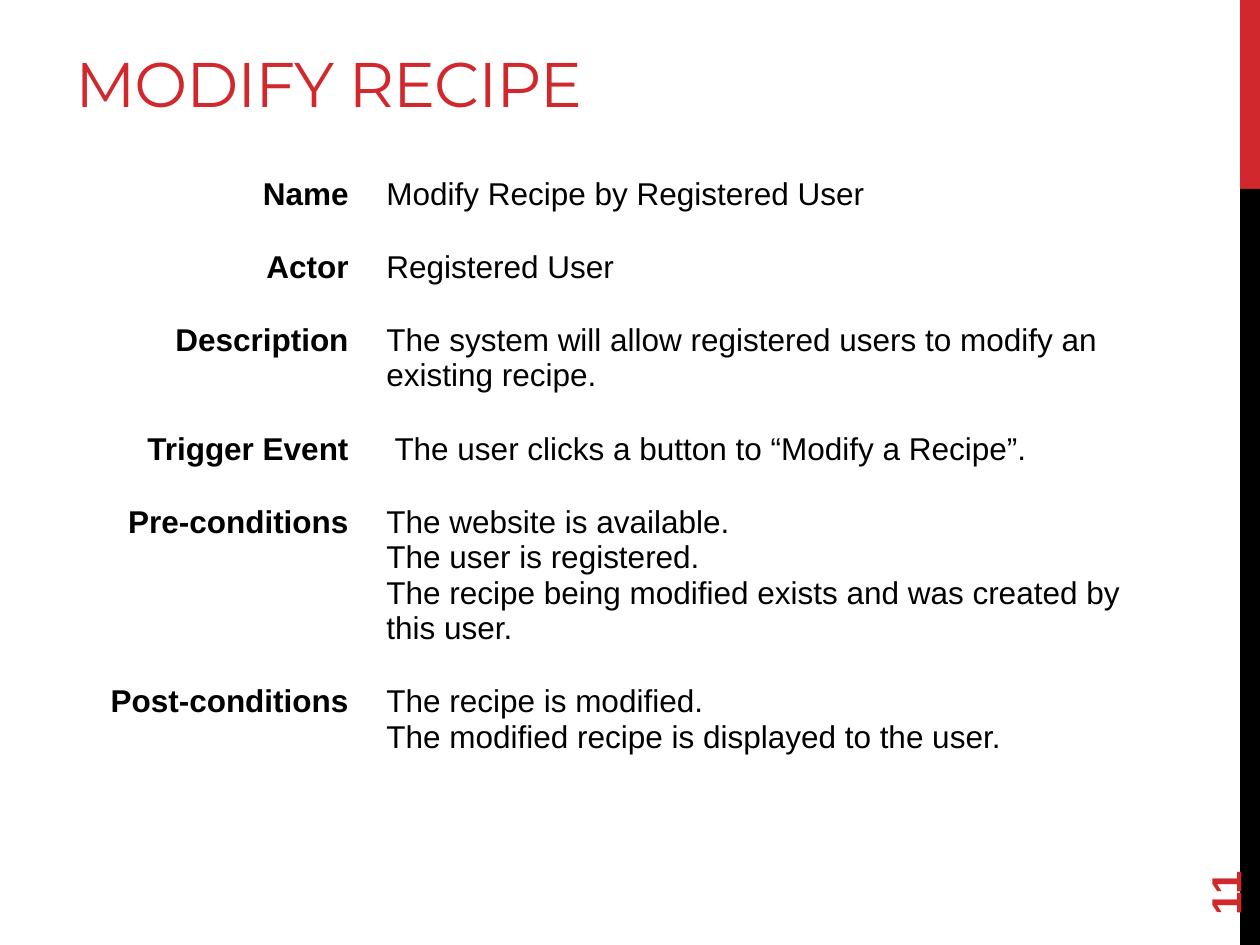
from dataclasses import dataclass

import pptx
import pptx.dml.color
import pptx.enum.shapes
import pptx.enum.text
import pptx.util

Pt = pptx.util.Pt
ALIGN = pptx.enum.text.PP_ALIGN
ANCHOR = pptx.enum.text.MSO_ANCHOR


@dataclass(frozen=True)
class Theme:
    accent: str = "D1282E"
    ink: str = "000000"
    title_font: str = "Montserrat"
    body_font: str = "Arial"
    title_size: float = 36
    number_size: float = 24
    body_size: float = 18
    body_line: float = 20.2
    cell_margin: float = 10.8


USE_CASE = [
    ("Name", "Modify Recipe by Registered User"),
    ("Actor", "Registered User"),
    ("Description", "The system will allow registered users to modify an existing recipe."),
    ("Trigger Event", " The user clicks a button to “Modify a Recipe”."),
    ("Pre-conditions", "The website is available.\nThe user is registered.\n"
     "The recipe being modified exists and was created by this user."),
    ("Post-conditions", "The recipe is modified.\n"
     "The modified recipe is displayed to the user."),
]


class SlideBuilder:
    def __init__(self, slide, theme):
        self.slide = slide
        self.theme = theme

    def color(self, value):
        return pptx.dml.color.RGBColor.from_string(value)

    def format_text(self, text_frame, font, size, color, bold=False,
                    align=ALIGN.LEFT, tracking=None, line=None):
        for paragraph in text_frame.paragraphs:
            paragraph.alignment = align
            if line is not None:
                paragraph.line_spacing = Pt(line)
            for run in paragraph.runs:
                run.font.name = font
                run.font.size = Pt(size)
                run.font.bold = bold
                run.font.color.rgb = self.color(color)
                if tracking is not None:
                    run.font._element.set("spc", str(round(tracking * 100)))

    def bar(self, left, top, width, height, color):
        shape = self.slide.shapes.add_shape(
            pptx.enum.shapes.MSO_SHAPE.RECTANGLE,
            Pt(left), Pt(top), Pt(width), Pt(height))
        shape.shadow.inherit = False
        shape.fill.solid()
        shape.fill.fore_color.rgb = self.color(color)
        shape.line.fill.background()

    def text(self, text, left, top, width, height, anchor, rotation=0, **style):
        box = self.slide.shapes.add_textbox(Pt(left), Pt(top), Pt(width), Pt(height))
        box.rotation = rotation
        text_frame = box.text_frame
        text_frame.word_wrap = True
        text_frame.vertical_anchor = anchor
        text_frame.text = text
        self.format_text(text_frame, **style)

    def label_table(self, rows, left, top, column_widths, row_height):
        """Add a plain table with bold right-aligned labels in the first column."""
        table = self.slide.shapes.add_table(
            len(rows), len(column_widths), Pt(left), Pt(top),
            Pt(sum(column_widths)), Pt(row_height * len(rows))).table
        table.first_row = table.horz_banding = False
        for column, width in zip(table.columns, column_widths):
            column.width = Pt(width)
        for row, texts in zip(table.rows, rows):
            row.height = Pt(row_height)
            for index, (cell, text) in enumerate(zip(row.cells, texts)):
                is_label = index == 0
                cell.fill.background()
                cell.margin_left = cell.margin_right = Pt(self.theme.cell_margin)
                cell.margin_top = cell.margin_bottom = Pt(self.theme.cell_margin)
                cell.text_frame.text = text
                self.format_text(
                    cell.text_frame, self.theme.body_font, self.theme.body_size,
                    self.theme.ink, bold=is_label, line=self.theme.body_line,
                    align=ALIGN.RIGHT if is_label else ALIGN.LEFT)
        # The "No Style, No Grid" table style removes the default borders.
        style_id = table._tbl.tblPr.find(pptx.oxml.ns.qn("a:tableStyleId"))
        style_id.text = "{2D5ABB26-0587-4C30-8999-92F81FD0307C}"


def main():
    presentation = pptx.Presentation()
    presentation.slide_width, presentation.slide_height = Pt(720), Pt(540)
    slide = presentation.slides.add_slide(presentation.slide_layouts[6])
    theme = Theme()
    builder = SlideBuilder(slide, theme)

    builder.bar(708.7, 0, 11.3, 108, theme.accent)
    builder.bar(708.7, 108, 11.3, 432, theme.ink)
    builder.text("MODIFY RECIPE", 36, 12, 456, 60, ANCHOR.BOTTOM,
                 font=theme.title_font, size=theme.title_size,
                 color=theme.accent, tracking=-0.6)
    builder.text("11", 647.8, 463.6, 104, 28.8, ANCHOR.MIDDLE, rotation=270,
                 font=theme.body_font, size=theme.number_size,
                 color=theme.accent, bold=True)
    builder.label_table(USE_CASE, 35, 90, (175, 468), 29.5)

    presentation.save("out.pptx")


if __name__ == "__main__":
    main()
